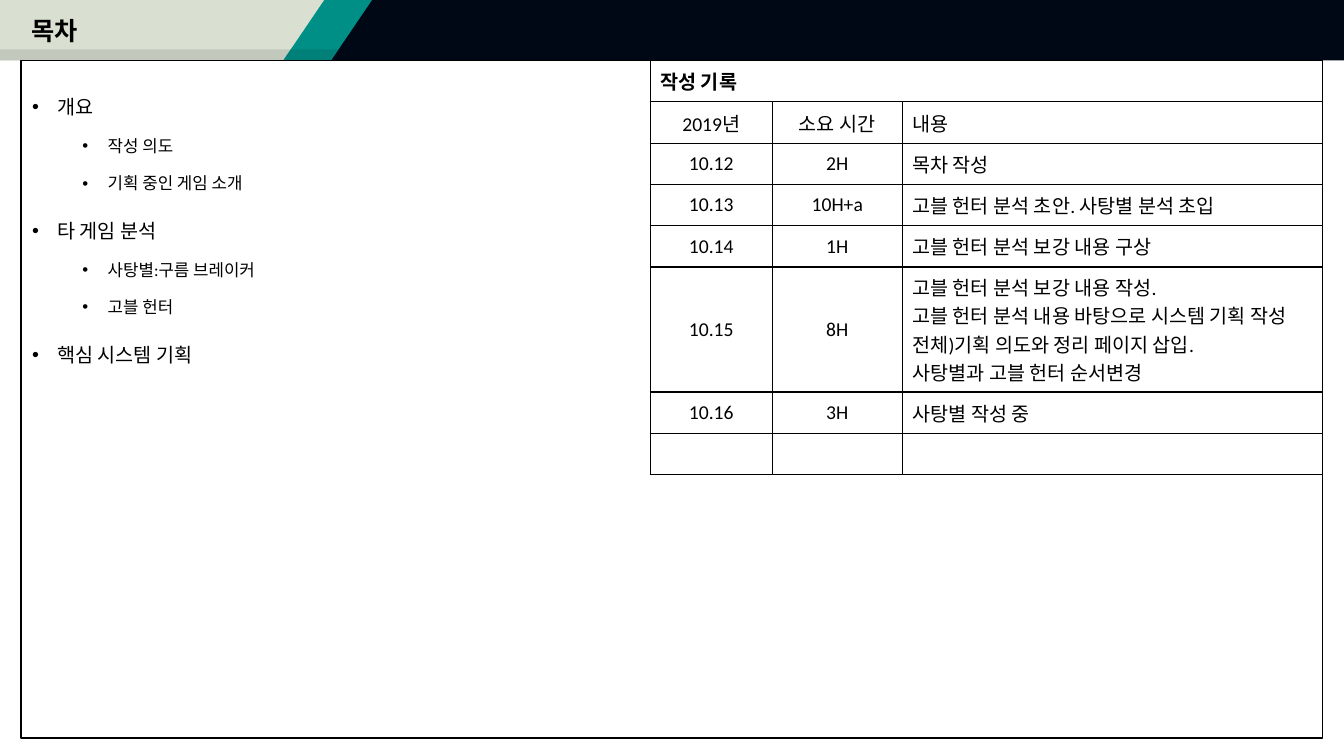
from lxml import etree
from pptx import Presentation
from pptx.dml.color import RGBColor
from pptx.enum.shapes import MSO_SHAPE
from pptx.enum.text import MSO_ANCHOR, PP_ALIGN
from pptx.oxml.ns import qn
from pptx.util import Inches, Pt

RECT, SLANT = MSO_SHAPE.RECTANGLE, MSO_SHAPE.PARALLELOGRAM
MIDDLE, TOP = MSO_ANCHOR.MIDDLE, MSO_ANCHOR.TOP
LEFT, CENTER = PP_ALIGN.LEFT, PP_ALIGN.CENTER

BLACK = RGBColor(0x00, 0x00, 0x00)
WHITE = RGBColor(0xFF, 0xFF, 0xFF)
SAGE = RGBColor(0xD9, 0xDF, 0xD1)
SAGE_DARK = RGBColor(0xC3, 0xC8, 0xBC)
NAVY = RGBColor(0x00, 0x08, 0x15)
TEAL = RGBColor(0x00, 0x8F, 0x86)
TEAL_DARK = RGBColor(0x00, 0x80, 0x78)
FONT = "Calibri"

TITLE = "목차"
OUTLINE = [
    ("개요", ["작성 의도", "기획 중인 게임 소개"]),
    ("타 게임 분석", ["사탕별:구름 브레이커", "고블 헌터"]),
    ("핵심 시스템 기획", []),
]
LOG_TITLE = "작성 기록"
LOG = [
    ("2019년", "소요 시간", ["내용"]),
    ("10.12", "2H", ["목차 작성"]),
    ("10.13", "10H+a", ["고블 헌터 분석 초안. 사탕별 분석 초입"]),
    ("10.14", "1H", ["고블 헌터 분석 보강 내용 구상"]),
    ("10.15", "8H", [
        "고블 헌터 분석 보강 내용 작성.",
        "고블 헌터 분석 내용 바탕으로 시스템 기획 작성",
        "전체)기획 의도와 정리 페이지 삽입.",
        "사탕별과 고블 헌터 순서변경",
    ]),
    ("10.16", "3H", ["사탕별 작성 중"]),
    ("", "", [""]),
]
LOG_COLUMNS = (1.21, 1.29, 4.17)
ROW_HEIGHT, TALL_ROW_HEIGHT = 0.41, 1.24

HEADER_HEIGHT, SHADE_TOP = 0.6, 0.49
SHADE_HEIGHT = HEADER_HEIGHT - SHADE_TOP
HEADER = [
    (RECT, 0, 0, 3.23, HEADER_HEIGHT, SAGE),
    (RECT, 0, SHADE_TOP, 3.23, SHADE_HEIGHT, SAGE_DARK),
    (RECT, 3.23, 0, 10.1, HEADER_HEIGHT, NAVY),
    (SLANT, 2.81, 0, 0.88, HEADER_HEIGHT, TEAL),
    (SLANT, 2.81, SHADE_TOP, 0.54, SHADE_HEIGHT, TEAL_DARK),
]


def write(paragraph, text, size=14, bold=False, align=LEFT, before=0,
          spacing=None, indent=None):
    paragraph.alignment = align
    paragraph.space_before = Pt(before)
    if spacing:
        paragraph.line_spacing = spacing
    if indent:
        properties = paragraph._p.get_or_add_pPr()
        properties.set("marL", str(Inches(indent)))
        properties.set("indent", str(Inches(-0.25)))
        etree.SubElement(properties, qn("a:buFont")).set("typeface", "Arial")
        etree.SubElement(properties, qn("a:buChar")).set("char", "•")
    font = paragraph.font
    if text:
        font = paragraph.add_run().font
        paragraph.runs[0].text = text
    font.name, font.size, font.bold = FONT, Pt(size), bold
    font.color.rgb = BLACK


def add_panel(slide, kind, left, top, width, height, color, line=None):
    panel = slide.shapes.add_shape(
        kind, Inches(left), Inches(top), Inches(width), Inches(height))
    panel.shadow.inherit = False
    panel.fill.solid()
    panel.fill.fore_color.rgb = color
    if kind == SLANT:
        panel.adjustments[0] = 0.678
    if line is None:
        panel.line.fill.background()
    else:
        panel.line.color.rgb = line
        panel.line.width = Pt(1)


def add_frame(slide, left, top, width, height, anchor):
    frame = slide.shapes.add_textbox(
        Inches(left), Inches(top), Inches(width), Inches(height)).text_frame
    frame.word_wrap = True
    frame.vertical_anchor = anchor
    return frame


def fill_cell(cell, lines, **style):
    cell.vertical_anchor = MIDDLE
    frame = cell.text_frame
    for number, line in enumerate(lines):
        write(frame.add_paragraph() if number else frame.paragraphs[0],
              line, **style)


def frame_cell(cell):
    properties = cell._tc.get_or_add_tcPr()
    for side in ("a:lnL", "a:lnR", "a:lnT", "a:lnB"):
        border = etree.SubElement(properties, qn(side), w=str(Pt(1)))
        solid = etree.SubElement(border, qn("a:solidFill"))
        etree.SubElement(solid, qn("a:srgbClr"), val=str(BLACK))
    cell.fill.solid()
    cell.fill.fore_color.rgb = WHITE


def add_outline(slide):
    frame = add_frame(slide, 0.22, 0.78, 6.2, 6.51, TOP)
    items = []
    for topic, details in OUTLINE:
        items.append((topic, dict(size=14, before=10, indent=0.25)))
        items += [(detail, dict(size=12, before=5, indent=0.75))
                  for detail in details]
    items[0][1]["before"] = 0
    for number, (text, style) in enumerate(items):
        write(frame.add_paragraph() if number else frame.paragraphs[0],
              text, spacing=1.5, **style)


def add_log(slide):
    heights = [ROW_HEIGHT] + [
        TALL_ROW_HEIGHT if len(notes) > 1 else ROW_HEIGHT
        for _, _, notes in LOG]
    table = slide.shapes.add_table(
        len(heights), len(LOG_COLUMNS), Inches(6.45), Inches(HEADER_HEIGHT),
        Inches(sum(LOG_COLUMNS)), Inches(sum(heights))).table
    table.first_row = table.horz_banding = False
    for column, width in zip(table.columns, LOG_COLUMNS):
        column.width = Inches(width)
    for row, height in zip(table.rows, heights):
        row.height = Inches(height)
    for cell in table.iter_cells():
        frame_cell(cell)
    table.cell(0, 0).merge(table.cell(0, len(LOG_COLUMNS) - 1))
    fill_cell(table.cell(0, 0), [LOG_TITLE], bold=True)
    for row, (date, hours, notes) in enumerate(LOG, start=1):
        fill_cell(table.cell(row, 0), [date], align=CENTER)
        fill_cell(table.cell(row, 1), [hours], align=CENTER)
        fill_cell(table.cell(row, 2), notes)


def main():
    deck = Presentation()
    deck.slide_width, deck.slide_height = Inches(13.33), Inches(7.5)
    slide = deck.slides.add_slide(deck.slide_layouts[6])
    for part in HEADER:
        add_panel(slide, *part)
    add_panel(slide, RECT, 0.21, HEADER_HEIGHT, 12.91, 6.72, WHITE, line=BLACK)
    add_outline(slide)
    add_log(slide)
    title = add_frame(slide, 0.21, 0, 3.04, HEADER_HEIGHT, MIDDLE)
    write(title.paragraphs[0], TITLE, size=18, bold=True)
    deck.save("out.pptx")


if __name__ == "__main__":
    main()
